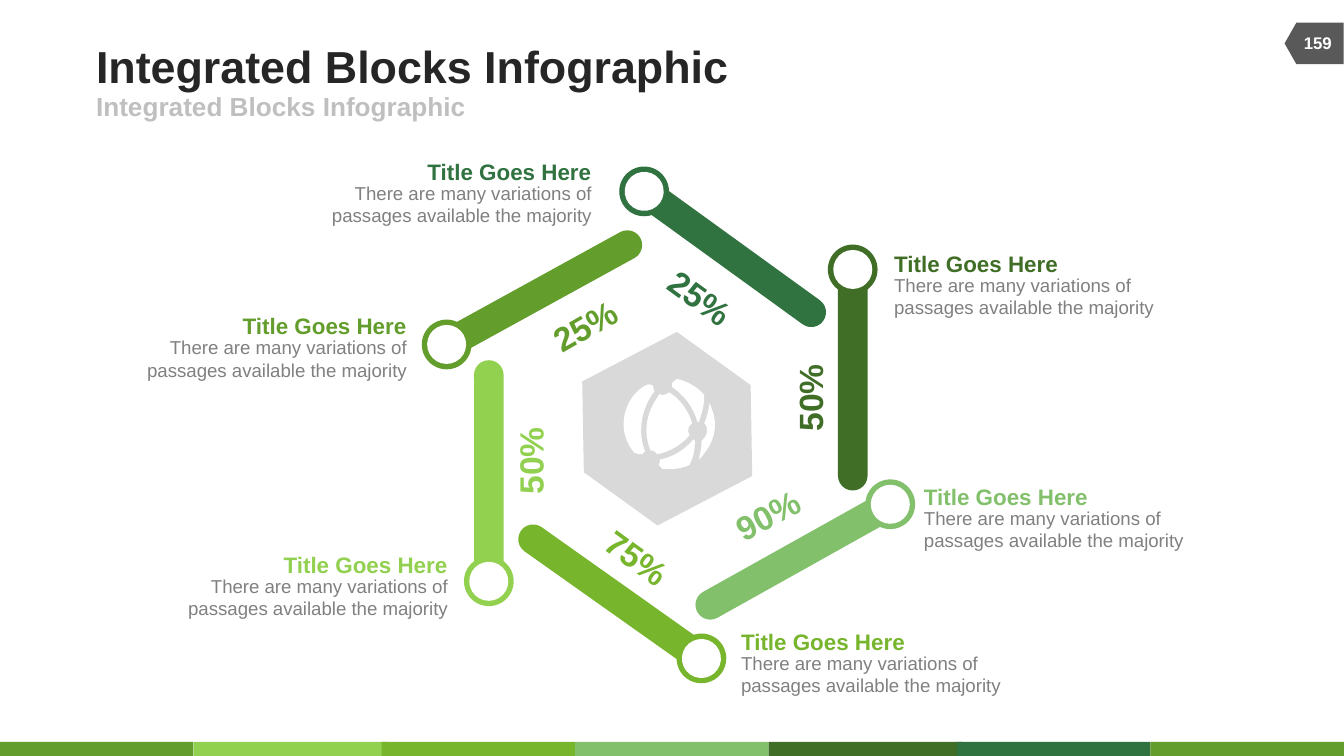
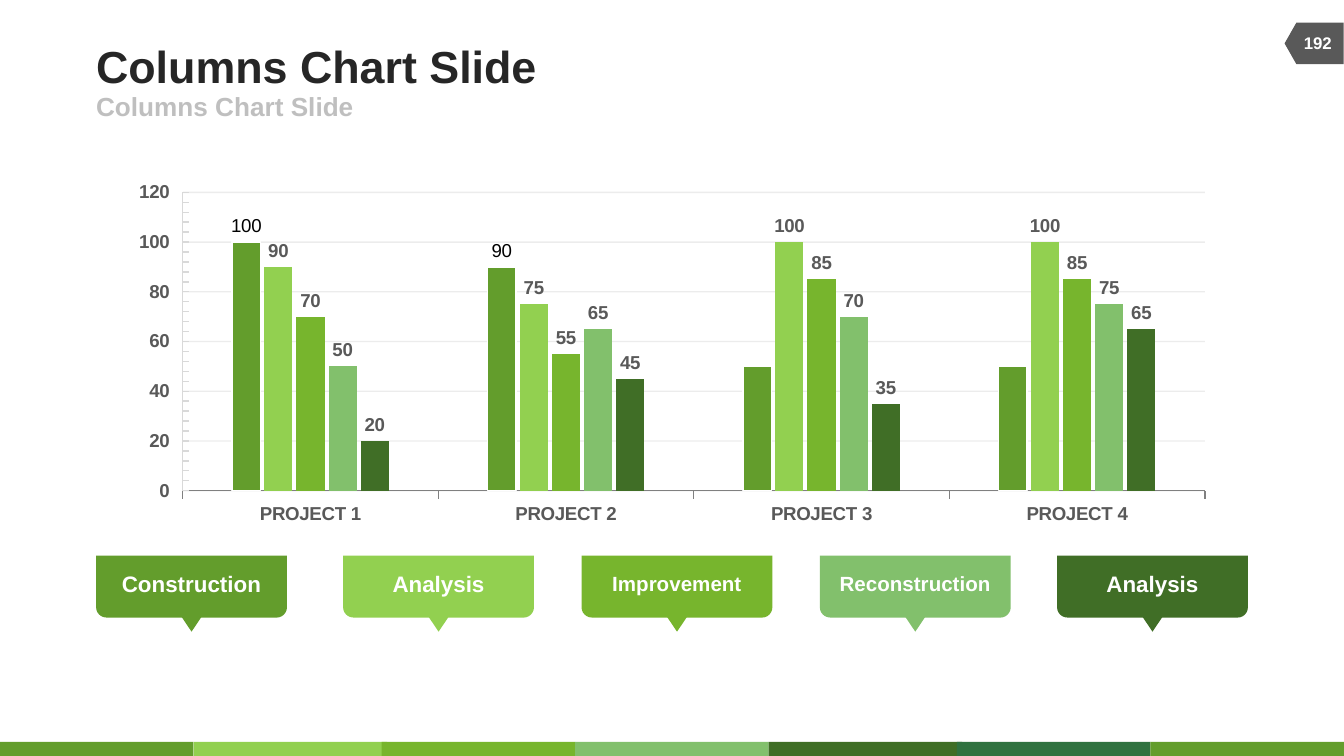
from math import cos, radians, sin

from pptx import Presentation
from pptx import util as u
from pptx.chart.data import CategoryChartData
from pptx.dml.color import RGBColor
from pptx.enum import chart as ch, shapes, text
from pptx.oxml.ns import qn
from lxml import etree

MOSS = RGBColor(0x63, 0x9D, 0x2C)
LIME = RGBColor(0x92, 0xD0, 0x50)
LEAF = RGBColor(0x77, 0xB5, 0x2D)
SAGE = RGBColor(0x82, 0xC0, 0x6C)
FERN = RGBColor(0x40, 0x6E, 0x26)
PINE = RGBColor(0x30, 0x72, 0x40)
INK = RGBColor(0x26, 0x26, 0x26)
SLATE = RGBColor(0x59, 0x59, 0x59)
GREY = RGBColor(0x80, 0x80, 0x80)
SILVER = RGBColor(0xBF, 0xBF, 0xBF)
PALE = RGBColor(0xD9, 0xD9, 0xD9)
WHITE = RGBColor(0xFF, 0xFF, 0xFF)
BLACK = RGBColor(0, 0, 0)

FONT = "Arial"
COLS, ROWS = 100, 56.25
CELL = u.Inches(0.1)
LEFT, MID, RIGHT = text.PP_ALIGN.LEFT, text.PP_ALIGN.CENTER, text.PP_ALIGN.RIGHT
TOP, CORE = text.MSO_ANCHOR.TOP, text.MSO_ANCHOR.MIDDLE
FORM = shapes.MSO_SHAPE

BANDS = [(0, MOSS), (14.4, LIME), (28.4, LEAF), (42.8, SAGE),
         (57.2, FERN), (71.2, PINE), (85.6, MOSS)]

# colour, arm centre, arm turn, share, share centre, share turn, label side, edge, top
ARMS = [
    (MOSS, (40.2, 21.8), 241.2, "25%", (43.5, 24.2), 330.1, RIGHT, 30.25, 23.25),
    (LIME, (36.37, 35.3), 180, "50%", (39.45, 34.3), 270, RIGHT, 33.3, 41),
    (LEAF, (45.7, 44.4), 125.3, "75%", (47.4, 41.5), 36, LEFT, 55.14, 46.75),
    (SAGE, (59.3, 41.4), 60.8, "90%", (57.1, 38.3), 332.6, LEFT, 68.75, 35.95),
    (FERN, (63.45, 28), 0, "50%", (60.25, 29.6), 270, LEFT, 66.53, 18.6),
    (PINE, (54.37, 18.9), 305.9, "25%", (52.1, 22.1), 36, RIGHT, 44, 11.75),
]

# Each ring is a start point, then three Bezier points per curve, in 1/10 cells.
GLOBE = [
    [(51, 33), (49, 34), (48, 36), (48, 39), (48, 40), (48, 41), (49, 42),
     (43, 49), (35, 54), (25, 56), (24, 54), (22, 53), (20, 53),
     (18, 48), (17, 44), (17, 38), (17, 28), (21, 19), (27, 11),
     (27, 12), (28, 12), (29, 12), (31, 12), (32, 11), (34, 10),
     (42, 15), (48, 23), (51, 33)],
    [(36, 5), (36, 5), (36, 6), (36, 6), (45, 12), (52, 21), (55, 32),
     (56, 32), (56, 32), (56, 32), (58, 26), (60, 20), (60, 13),
     (60, 13), (60, 12), (60, 12), (55, 6), (48, 2), (40, 0),
     (38, 1), (37, 2), (36, 3), (36, 4), (36, 4), (36, 5)],
    [(16, 54), (14, 49), (13, 44), (13, 38), (13, 27), (17, 17), (23, 9),
     (22, 8), (22, 6), (22, 5), (20, 4), (19, 4), (18, 4),
     (7, 9), (0, 21), (0, 34), (0, 42), (3, 49), (8, 55),
     (10, 56), (12, 56), (14, 56), (14, 55), (15, 55), (16, 54)],
    [(64, 18), (63, 24), (62, 29), (60, 33), (62, 35), (62, 36), (62, 39),
     (62, 42), (60, 44), (58, 46), (58, 51), (57, 55), (56, 60),
     (63, 53), (68, 44), (68, 34), (68, 28), (66, 23), (64, 18)],
    [(52, 45), (45, 53), (37, 58), (27, 60), (27, 62), (27, 63), (26, 64),
     (27, 65), (28, 66), (29, 67), (31, 67), (32, 67), (34, 67),
     (40, 67), (45, 66), (49, 64), (52, 58), (53, 53), (53, 46),
     (53, 46), (53, 46), (52, 45)],
]

# name, text size, text width, text top, tag left, colour
TAGS = [("Construction", 12, 10.5, 42.4, 7.15, MOSS),
        ("Analysis", 12, 6.9, 42.4, 25.53, LIME),
        ("Improvement", 11, 9.7, 42.5, 43.27, LEAF),
        ("Reconstruction", 11, 11.3, 42.5, 61, SAGE),
        ("Analysis", 12, 6.9, 42.4, 78.65, FERN)]

SERIES = [(MOSS, (100, 90, 50, 50)), (LIME, (90, 75, 100, 100)),
          (LEAF, (70, 55, 85, 85)), (SAGE, (50, 65, 70, 75)),
          (FERN, (20, 45, 35, 65))]


def grid(*cells):
    return [round(c * CELL) for c in cells]


def mid(x, y, w, h):
    """Box of size w by h centred on x, y."""
    return x - w / 2, y - h / 2, w, h


def curve(item):
    """Turn every three straight segments of a freeform into one Bezier curve."""
    lines = list(item._element.iter(qn("a:lnTo")))
    for trio in zip(lines[::3], lines[1::3], lines[2::3]):
        arc = etree.Element(qn("a:cubicBezTo"))
        trio[0].addprevious(arc)
        for line in trio:
            arc.append(line[0])
            line.getparent().remove(line)


def style(font, size, color, bold=True):
    font.name, font.size, font.bold = FONT, u.Pt(size), bold
    font.color.rgb = color


class Deck:
    def __init__(self):
        self.file = Presentation()
        self.file.slide_width, self.file.slide_height = grid(COLS, ROWS)
        self.slide = None

    def page(self, title, number):
        """Start a slide with its bands, page flag and headings."""
        self.slide = self.file.slides.add_slide(self.file.slide_layouts[6])
        for left, color in BANDS:
            self.shape(FORM.RECTANGLE, (left, 55.2, 14.4, 1.05), color)
        self.shape(FORM.FLOWCHART_OFFPAGE_CONNECTOR, (96.23, 1.03, 3.1, 4.4), SLATE, 90)
        self.words(title, (7.15, 2.9, 61.7, 3.9), 24, INK, anchor=CORE)
        self.words(title, (7.15, 6.8, 45, 2.2), 14, SILVER, anchor=CORE)
        self.words(number, (95.95, 1.7, 4.2, 3), 9, WHITE, side=MID, anchor=CORE)

    def paint(self, item, color):
        item.shadow.inherit = False
        item.fill.solid()
        item.fill.fore_color.rgb = color
        item.line.fill.background()

    def shape(self, form, box, color, turn=0):
        item = self.slide.shapes.add_shape(form, *grid(*box))
        self.paint(item, color)
        item.rotation = turn
        return item

    def words(self, line, box, size, color, bold=True, side=LEFT,
              anchor=TOP, turn=0, wrap=True):
        item = self.slide.shapes.add_textbox(*grid(*box))
        item.rotation = turn
        frame = item.text_frame
        frame.margin_left = frame.margin_right = 0
        frame.margin_top = frame.margin_bottom = 0
        frame.word_wrap, frame.vertical_anchor = wrap, anchor
        para = frame.paragraphs[0]
        para.alignment = side
        run = para.add_run()
        run.text = line
        style(run.font, size, color, bold)

    def arm(self, color, spot, turn):
        """Round-ended bar with a ringed knob at its head."""
        x, y = spot
        bar = self.shape(FORM.ROUNDED_RECTANGLE, mid(x, y, 2.2, 17), color, turn)
        bar.adjustments[0] = 0.5
        head = x + 7.95 * sin(radians(turn)), y - 7.95 * cos(radians(turn))
        self.shape(FORM.OVAL, mid(*head, 3.7, 3.7), color, turn)
        self.shape(FORM.OVAL, mid(*head, 2.9, 2.9), WHITE, turn)

    def label(self, color, side, edge, top):
        for line, drop, wide, high, size, tint, bold in (
                ("There are many variations of passages available the majority",
                 1.75, 20.3, 3.4, 10, GREY, False),
                ("Title Goes Here", 0, 15.7, 2, 12, color, True)):
            left = edge - wide if side == RIGHT else edge
            self.words(line, (left, top + drop, wide, high), size, tint, bold, side)

    def globe(self, left, top):
        pen = None
        for ring in GLOBE:
            if pen is None:
                pen = self.slide.shapes.build_freeform(*ring[0], scale=CELL / 10)
            else:
                pen.move_to(*ring[0])
            pen.add_line_segments(ring[1:], close=True)
        item = pen.convert_to_shape(*grid(left, top))
        curve(item)
        self.paint(item, WHITE)

    def tag(self, name, size, wide, top, left, color):
        self.shape(FORM.ISOSCELES_TRIANGLE, (left + 5.55, 44.7, 3.1, 2.3), color, 180)
        self.shape(FORM.ROUND_2_SAME_RECTANGLE, (left, 41.35, 14.2, 4.6), color, 180)
        self.words(name, (left + 7.1 - wide / 2, top, wide, 2), size, WHITE,
                   side=MID, wrap=False)

    def columns(self, box):
        data = CategoryChartData()
        data.categories = [f"PROJECT {i}" for i in range(1, 5)]
        for i, (_, values) in enumerate(SERIES, 1):
            data.add_series(f"Series {i}", values)
        chart = self.slide.shapes.add_chart(
            ch.XL_CHART_TYPE.COLUMN_CLUSTERED, *grid(*box), data).chart
        chart.has_title = chart.has_legend = False
        style(chart.font, 10, SLATE)
        plot = chart.plots[0]
        plot.gap_width, plot.overlap, plot.vary_by_categories = 351, -14, False
        for series, (color, _) in zip(plot.series, SERIES):
            series.format.fill.solid()
            series.format.fill.fore_color.rgb = color
            series.invert_if_negative = False
            if color != MOSS:
                series.data_labels.show_value = True
                series.data_labels.position = ch.XL_LABEL_POSITION.OUTSIDE_END
                style(series.data_labels.font, 10, SLATE)
        first = plot.series[0]
        first.format.line.color.rgb, first.format.line.width = WHITE, u.Pt(0.75)
        for i in (0, 1):
            mark = first.points[i].data_label
            style(mark.font, 10, BLACK, False)
            mark.position = ch.XL_LABEL_POSITION.OUTSIDE_END
        self.axes(chart)

    def axes(self, chart):
        ticks = ch.XL_TICK_MARK
        base, scale = chart.category_axis, chart.value_axis
        base.major_tick_mark, base.minor_tick_mark = ticks.OUTSIDE, ticks.NONE
        base.format.line.color.rgb = GREY
        scale.tick_label_position = ch.XL_TICK_LABEL_POSITION.LOW
        scale.major_tick_mark, scale.minor_tick_mark = ticks.NONE, ticks.INSIDE
        scale.minimum_scale, scale.maximum_scale = 0, 120
        scale.major_unit, scale.minor_unit = 20, 4
        for line in (scale.format.line, scale.major_gridlines.format.line):
            line.color.rgb, line.width = PALE, u.Pt(0.75)
        tint = next(scale.major_gridlines._xAx.find(qn("c:majorGridlines"))
                    .iter(qn("a:srgbClr")))
        etree.SubElement(tint, qn("a:alpha")).set("val", "48000")


def main():
    deck = Deck()

    deck.page("Integrated Blocks Infographic", "159")
    deck.shape(FORM.HEXAGON, (42.65, 25.85, 14, 12.1), PALE, 332.4)
    for color, spot, turn, share, place, tilt, side, edge, top in ARMS:
        deck.arm(color, spot, turn)
        deck.label(color, side, edge, top)
        deck.words(share, mid(*place, 5, 3), 18, color, side=MID,
                   anchor=CORE, turn=tilt, wrap=False)
    deck.globe(46.4, 28.2)

    deck.page("Columns Chart Slide", "192")
    deck.columns((8.7, 13, 82.6, 26.6))
    for tag in TAGS:
        deck.tag(*tag)

    deck.file.save("out.pptx")


if __name__ == "__main__":
    main()
